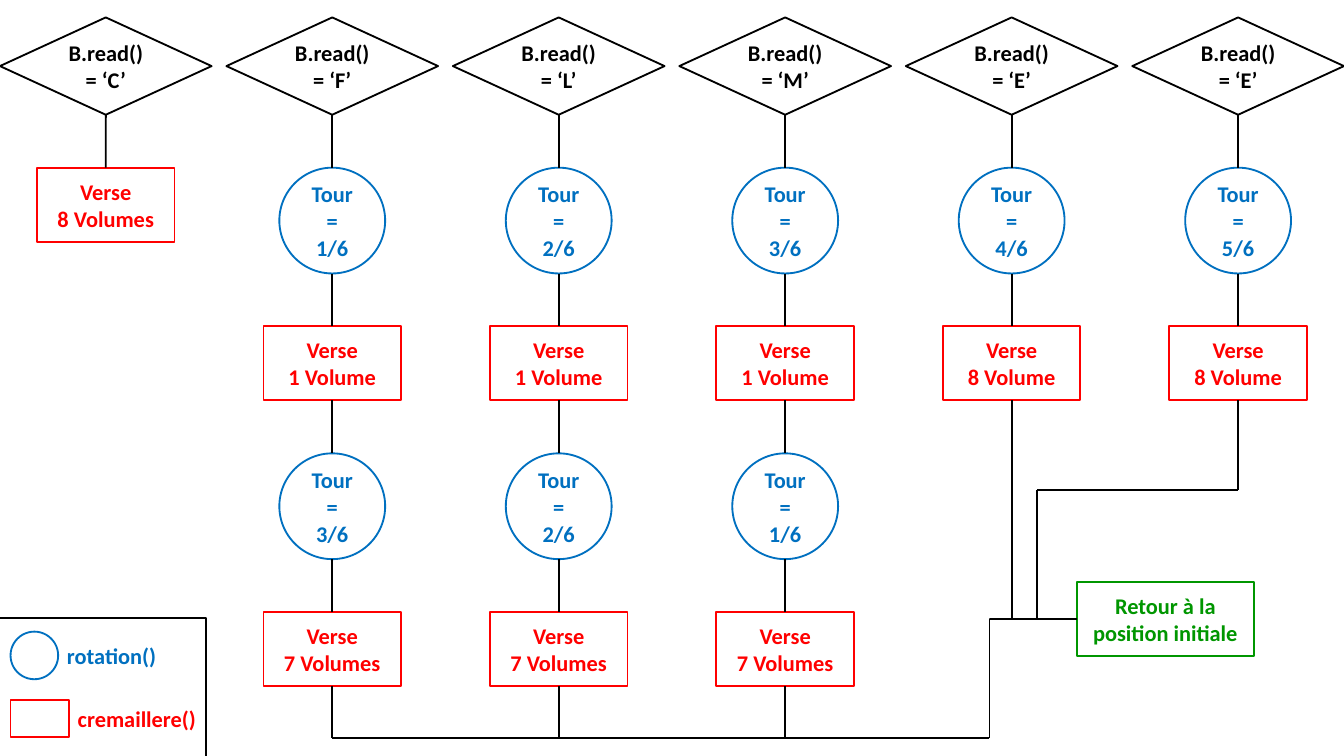
from lxml.etree import SubElement
from pptx import Presentation
from pptx.dml.color import RGBColor
from pptx.enum.shapes import MSO_CONNECTOR, MSO_SHAPE
from pptx.enum.text import MSO_ANCHOR, PP_ALIGN
from pptx.oxml.ns import qn
from pptx.util import Cm, Pt

BLACK = RGBColor(0, 0, 0)
WHITE = RGBColor(255, 255, 255)
RED = RGBColor(255, 0, 0)
BLUE = RGBColor(0, 0x70, 0xC0)
GREEN = RGBColor(0, 0x96, 0)

FONT = {"name": "Calibri", "size": Pt(12), "bold": True}

# Column grid and step sizes, in centimetres
FIRST, PITCH, TOP, GAP = 2.0, 4.28, 0.33, 1.0
RAIL, BACK = 13.95, 11.7

# Step kind: shape, width, height, colour
KINDS = {
    "test": (MSO_SHAPE.DIAMOND, 4.0, 1.84, BLACK),
    "turn": (MSO_SHAPE.OVAL, 2.0, 2.0, BLUE),
    "pour": (MSO_SHAPE.RECTANGLE, 2.6, 1.4, RED),
}

# Letter read, then the steps below it
FLOWS = [
    ("C", [("pour", "8 Volumes")]),
    ("F", [("turn", "1/6"), ("pour", "1 Volume"), ("turn", "3/6"), ("pour", "7 Volumes")]),
    ("L", [("turn", "2/6"), ("pour", "1 Volume"), ("turn", "2/6"), ("pour", "7 Volumes")]),
    ("M", [("turn", "3/6"), ("pour", "1 Volume"), ("turn", "1/6"), ("pour", "7 Volumes")]),
    ("E", [("turn", "4/6"), ("pour", "8 Volume")]),
    ("E", [("turn", "5/6"), ("pour", "8 Volume")]),
]
WORDS = {"test": "B.read() = ‘{}’", "turn": "Tour = {}", "pour": "Verse\n{}"}


def write(frame, text, color, align=PP_ALIGN.CENTER):
    frame.text = text
    for para in frame.paragraphs:
        para.alignment = align
        for key, value in FONT.items():
            setattr(para.font, key, value)
        para.font.color.rgb = color


def add_box(slide, kind, left, top, width, height, color, text="", fill=WHITE):
    box = slide.shapes.add_shape(kind, Cm(left), Cm(top), Cm(width), Cm(height))
    box.shadow.inherit = False
    if fill is None:
        box.fill.background()
    else:
        box.fill.solid()
        box.fill.fore_color.rgb = fill
    box.line.color.rgb = color
    box.line.width = Pt(1)
    if text:
        box.text_frame.word_wrap = True
        box.text_frame.vertical_anchor = MSO_ANCHOR.MIDDLE
        write(box.text_frame, text, color)
    return box


def add_line(slide, x1, y1, x2, y2):
    line = slide.shapes.add_connector(
        MSO_CONNECTOR.STRAIGHT, Cm(x1), Cm(y1), Cm(x2), Cm(y2))
    line.line.color.rgb = BLACK
    line.line.width = Pt(1)
    SubElement(line._element.spPr, qn("a:effectLst"))
    return line


def add_label(slide, left, top, width, text, color, align):
    label = slide.shapes.add_textbox(Cm(left), Cm(top), Cm(width), Cm(0.77))
    label.text_frame.word_wrap = True
    write(label.text_frame, text, color, align)


def add_flow(slide, mid, letter, steps):
    """Stack the steps of one column, and return the last box."""
    last, top = None, TOP
    for name, value in [("test", letter)] + steps:
        kind, width, height, color = KINDS[name]
        box = add_box(slide, kind, mid - width / 2, top, width, height, color,
                      WORDS[name].format(value))
        if last:
            line = add_line(slide, mid, top - GAP, mid, top)
            if last.auto_shape_type != MSO_SHAPE.OVAL:
                line.begin_connect(last, 2)
            line.end_connect(box, 0)
        last, top = box, top + height + GAP
    return last


def add_drop(slide, box, mid, bottom):
    line = add_line(slide, mid, bottom - GAP, mid, bottom)
    line.begin_connect(box, 2)


def add_path(slide, points):
    for start, end in zip(points, points[1:]):
        line = add_line(slide, *start, *end)
    return line


def add_key(slide):
    add_box(slide, MSO_SHAPE.RECTANGLE, -0.1, 11.69, 4, 2.84, BLACK, fill=None)
    add_box(slide, MSO_SHAPE.OVAL, 0.2, 11.94, 0.9, 0.9, BLUE)
    add_box(slide, MSO_SHAPE.RECTANGLE, 0.2, 13.23, 1.1, 0.7, RED)
    add_label(slide, 1.22, 13.21, 2.9, "cremaillere()", RED, PP_ALIGN.LEFT)
    add_label(slide, 0.93, 12.02, 2.36, "rotation()", BLUE, PP_ALIGN.CENTER)


def main():
    deck = Presentation()
    deck.slide_width, deck.slide_height = Cm(25.4), Cm(14.29)
    slide = deck.slides.add_slide(deck.slide_layouts[6])

    # Columns
    mids = [FIRST + PITCH * i for i in range(len(FLOWS))]
    ends = [add_flow(slide, mid, *flow) for mid, flow in zip(mids, FLOWS)]

    # Return to the start position
    home = add_box(slide, MSO_SHAPE.RECTANGLE, 20.35, BACK - 0.7, 3.35, 1.4,
                   GREEN, "Retour à la position initiale")
    bends = [RAIL, RAIL, RAIL, BACK, 9.27]
    for box, mid, bottom in zip(ends[1:], mids[1:], bends):
        add_drop(slide, box, mid, bottom)
    add_path(slide, [(mids[5], 9.27), (19.6, 9.27), (19.6, BACK)])
    rail = [(mids[1], RAIL), (18.7, RAIL), (18.7, BACK), (20.35, BACK)]
    add_path(slide, rail).end_connect(home, 1)

    # Legend
    add_key(slide)
    deck.save("out.pptx")


if __name__ == "__main__":
    main()
